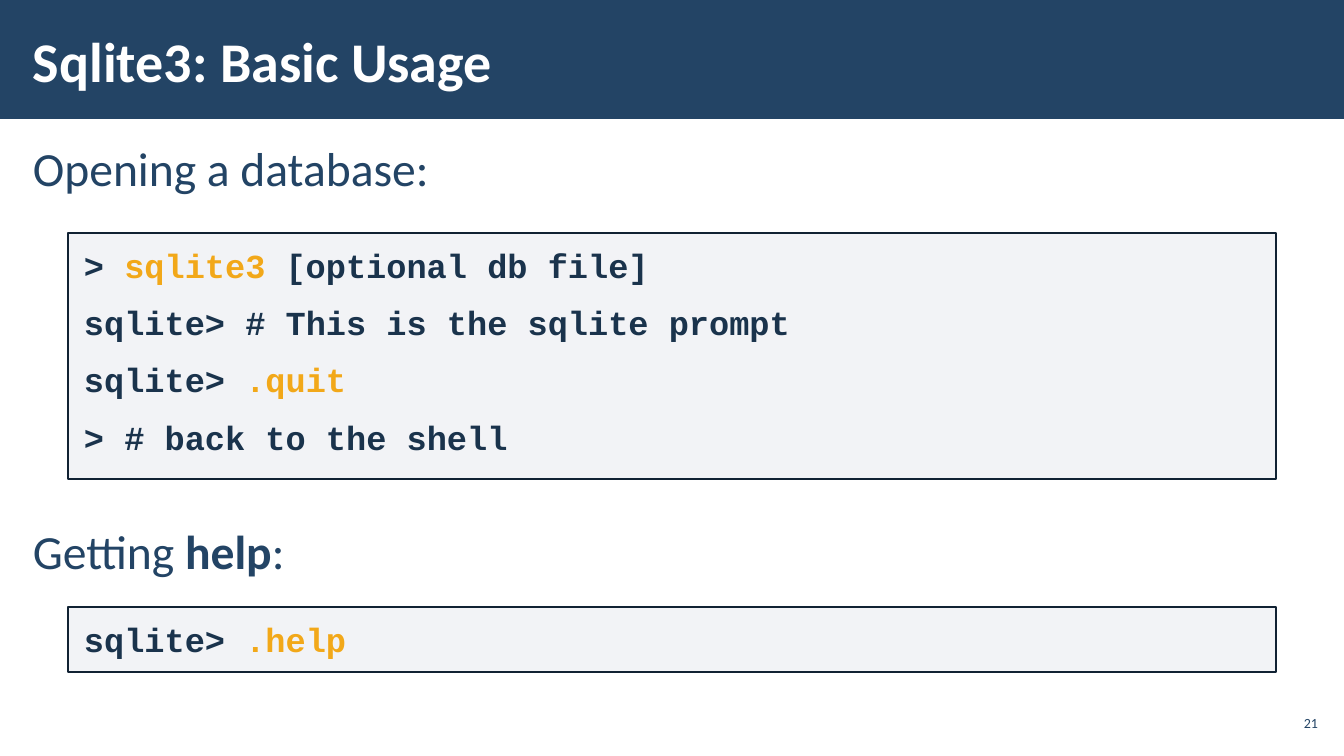
import pptx
import pptx.util
import pptx.dml.color
import pptx.enum.shapes
import pptx.enum.text
import pptx.oxml.ns
import lxml.etree

RGB = pptx.dml.color.RGBColor
NAVY = RGB(0x23, 0x44, 0x65)
INK = RGB(0x1A, 0x33, 0x4C)
BORDER = RGB(0x11, 0x22, 0x33)
ORANGE = RGB(0xF2, 0xA8, 0x19)
GREY = RGB(0xAD, 0xB4, 0xC3)
WHITE = RGB(0xFF, 0xFF, 0xFF)

# A line is a list of (text, emphasised) runs.
TITLE = [("Sqlite3: Basic Usage", True)]
PAGE = [("21", False)]
SECTIONS = [
    {
        "heading": [("Opening a database:", False)],
        "heading_top": 132,
        "code_box": (68, 233, 1208, 246),
        "code": [
            [("> ", False), ("sqlite3", True), (" [optional db file]", False)],
            [("sqlite> # This is the sqlite prompt", False)],
            [("sqlite> ", False), (".quit", True)],
            [("> # back to the shell", False)],
        ],
    },
    {
        "heading": [("Getting ", False), ("help", True), (":", False)],
        "heading_top": 515,
        "code_box": (68, 607, 1208, 65),
        "code": [[("sqlite> ", False), (".help", True)]],
    },
]

ANCHOR = pptx.enum.text.MSO_ANCHOR
ALIGN = pptx.enum.text.PP_ALIGN
SLIDE_W, SLIDE_H = 1344, 756
EMU_PER_PX = 914400 / 100.8


def px(n):
    return pptx.util.Emu(round(n * EMU_PER_PX))


def add_rect(s, box, fill):
    kind = pptx.enum.shapes.MSO_SHAPE.RECTANGLE
    sp = s.shapes.add_shape(kind, *map(px, box))
    sp.shadow.inherit = False
    sp.fill.solid()
    sp.fill.fore_color.rgb = fill
    sp.line.fill.background()
    return sp


def set_frame(sp, inset_x, inset_y, anchor):
    tf = sp.text_frame
    tf.word_wrap = True
    tf.margin_left = tf.margin_right = px(inset_x)
    tf.margin_top = tf.margin_bottom = px(inset_y)
    tf.vertical_anchor = anchor
    return tf


def write_lines(tf, lines, size, color, font="Calibri", gap=0, spacing=1.0,
                align=ALIGN.LEFT, bold=False, accent=None):
    """Emphasised runs take the accent colour, or bold if there is none."""
    for i, line in enumerate(lines):
        p = tf.add_paragraph() if i else tf.paragraphs[0]
        p.alignment = align
        p.line_spacing = spacing
        p.space_before = p.space_after = pptx.util.Pt(gap)
        for text, emphasised in line:
            r = p.add_run()
            r.text = text
            r.font.name = font
            r.font.size = pptx.util.Pt(size)
            r.font.bold = bold or (emphasised and accent is None)
            r.font.color.rgb = accent if emphasised and accent else color


def add_text(s, box, lines, size, color, anchor, inset_x=12, **style):
    sp = s.shapes.add_textbox(*map(px, box))
    write_lines(set_frame(sp, inset_x, 4, anchor), lines, size, color, **style)


def add_code(s, box, lines):
    sp = add_rect(s, box, GREY)
    srgb = sp.fill._xPr.find(".//" + pptx.oxml.ns.qn("a:srgbClr"))
    lxml.etree.SubElement(srgb, pptx.oxml.ns.qn("a:alpha"), val="15000")
    sp.line.color.rgb = BORDER
    sp.line.width = pptx.util.Pt(1)
    write_lines(set_frame(sp, 16, 12, ANCHOR.TOP), lines, 24, INK,
                font="Courier New", gap=6, bold=True, accent=ORANGE)


def main():
    prs = pptx.Presentation()
    prs.slide_width, prs.slide_height = px(SLIDE_W), px(SLIDE_H)
    s = prs.slides.add_slide(prs.slide_layouts[6])
    add_rect(s, (0, 0, SLIDE_W, 119), NAVY)
    add_text(s, (21, 11, 1047, 98), [TITLE], 40, WHITE, ANCHOR.MIDDLE)
    for section in SECTIONS:
        add_text(s, (21, section["heading_top"], 1301, 76),
                 [section["heading"]], 34, NAVY, ANCHOR.TOP,
                 gap=6, spacing=1.05)
        add_code(s, section["code_box"], section["code"])
    add_text(s, (1275, 706, 47, 34), [PAGE], 10, NAVY, ANCHOR.MIDDLE,
             inset_x=4, align=ALIGN.RIGHT)
    prs.save("out.pptx")


if __name__ == "__main__":
    main()
